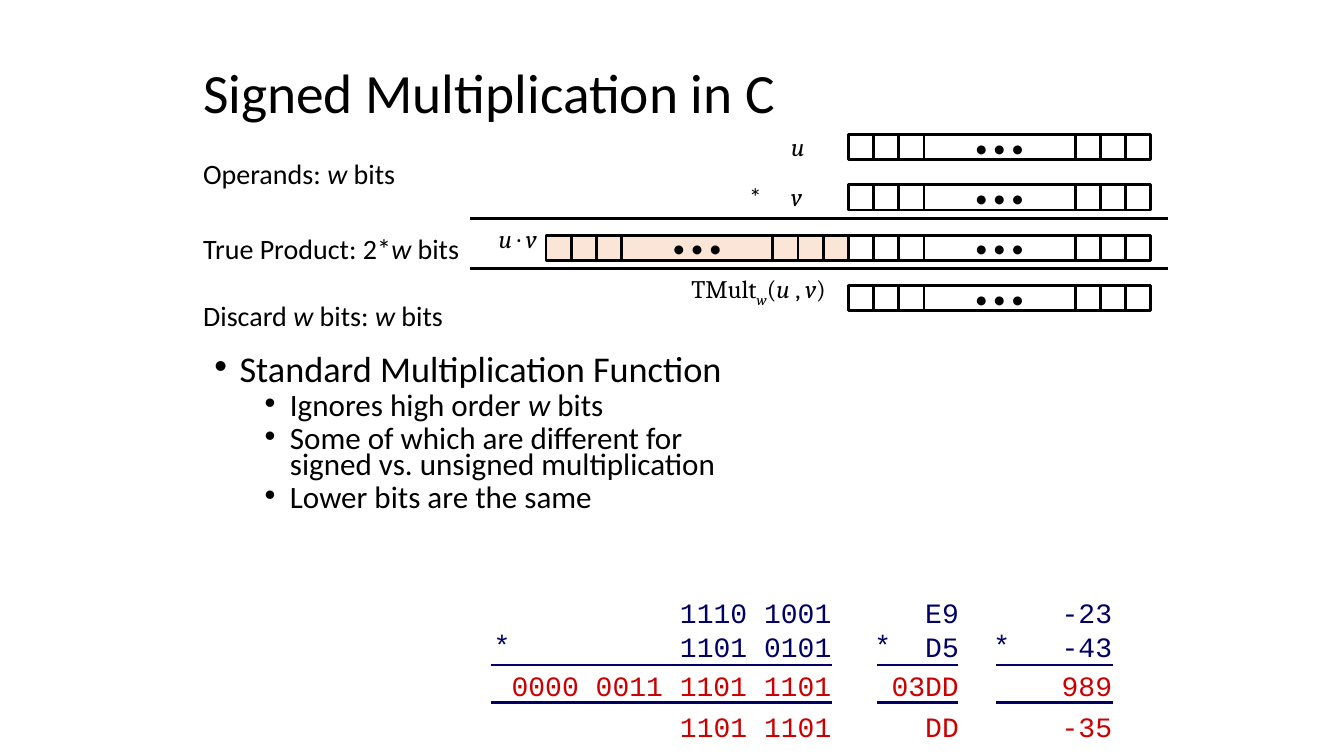
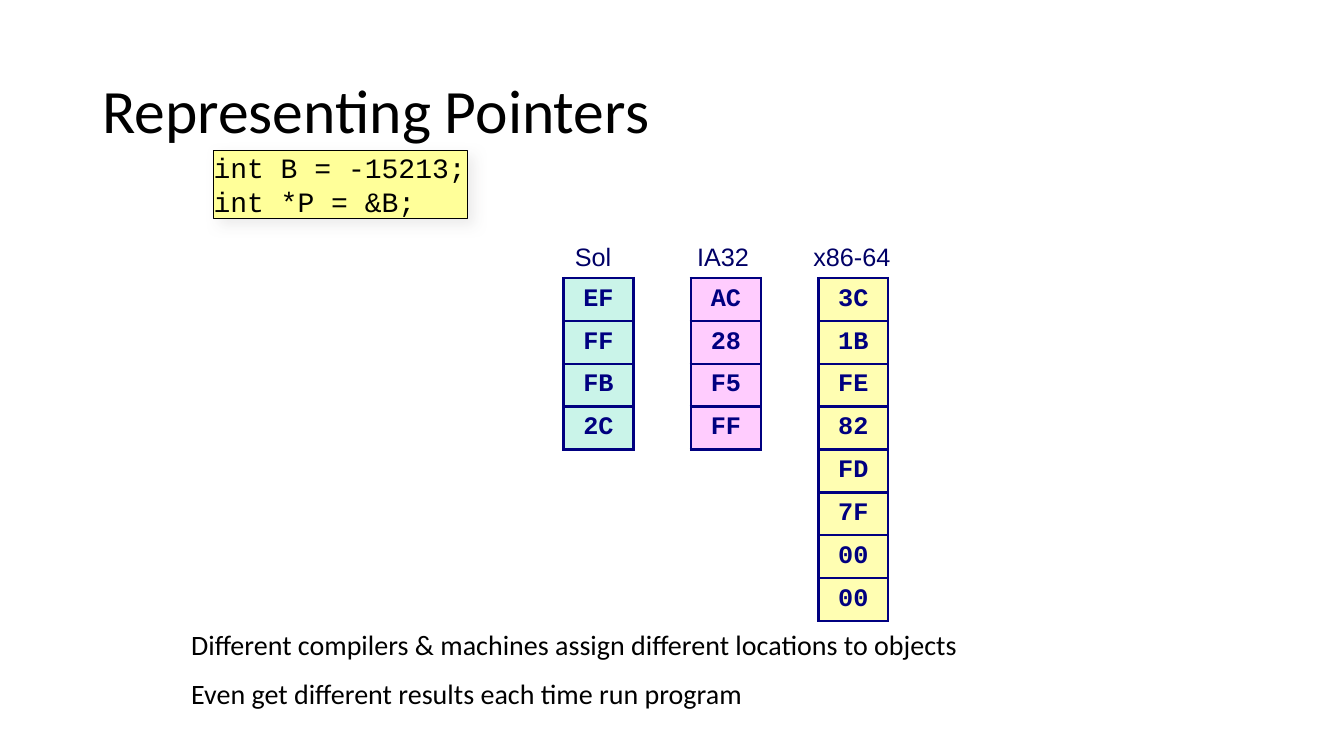
"""Build two slides: signed multiplication in C and pointer bytes."""
from lxml.etree import SubElement as Sub
from pptx import Presentation
from pptx.dml.color import RGBColor
from pptx.enum.shapes import MSO_CONNECTOR as Link, MSO_SHAPE as Form
from pptx.enum.text import MSO_ANCHOR as Anchor, MSO_AUTO_SIZE as Fit, PP_ALIGN as Align
from pptx.oxml.ns import qn
from pptx.util import Pt

hue = RGBColor.from_string
BLACK, WHITE, PEACH = "000000", "FFFFFF", "FBE5D6"
NAVY, BLUE, RED = "000066", "000080", "CC0000"
SANS, SERIF, MONO = "Calibri", "Cambria", "Courier New"
DOTS = "\u2022\u00a0\u2022\u00a0\u2022"
HUG = {"word_wrap": False, "auto_size": Fit.SHAPE_TO_FIT_TEXT}
WRAP = {"word_wrap": True}
MID = {"vertical_anchor": Anchor.MIDDLE}
SLIM = {"margin_left": Pt(4.5), "margin_right": Pt(7.2),
        "margin_top": Pt(4.5), "margin_bottom": Pt(4.5)}
CELL = MID | SLIM | {"margin_right": Pt(4.5)}
FLAT = dict.fromkeys(SLIM, 0)


def write(frame, lines, size, font=SANS, tint=BLACK, align=None, bold=False, form=HUG):
    """Fill a frame; parts between underscores are italic, a caret lowers them."""
    for key, val in form.items():
        setattr(frame, key, val)
    for row, line in enumerate(lines):
        para = frame.paragraphs[0] if row == 0 else frame.add_paragraph()
        para.alignment = align
        for num, part in enumerate(line.split("_")):
            if not part:
                continue
            run = para.add_run()
            run.text = part.lstrip("^")
            look = {"size": Pt(size), "name": font, "bold": bold, "italic": num % 2 == 1}
            for key, val in look.items():
                setattr(run.font, key, val)
            run.font.color.rgb = hue(tint)
            if part[0] == "^":
                run._r.get_or_add_rPr().set("baseline", "-25000")
    return frame.paragraphs


def box(slide, spot, lines, size, **look):
    """Add a text box at a spot in points."""
    frame = slide.shapes.add_textbox(*map(Pt, spot)).text_frame
    return write(frame, lines, size, **look)


deck = Presentation()
deck.slide_width, deck.slide_height = Pt(960), Pt(540)
pages = []
for name, size, spot in [
    ("Signed Multiplication in C", 39.6, (138, 46, 605.5, 44)),
    ("Representing Pointers", 44, (66, 28.75, 828, 104.4)),
]:
    page = deck.slides.add_slide(deck.slide_layouts[6])
    box(page, spot, [name], size, form=WRAP | MID)[0].line_spacing = 0.9
    pages.append(page)
math, bytes_page = pages

points = box(math, (146, 252, 405.5, 129.6), [
    "Standard Multiplication Function",
    "Ignores high order _w_ bits",
    "Some of which are different for signed vs. unsigned multiplication",
    "Lower bits are the same",
], 22.2, form=WRAP)
points[0].runs[0].font.size = Pt(25.9)
for num, para in enumerate(points):
    para.line_spacing, para.space_before = 0.7, Pt(5 if num else 10)
    para.level = 1 if num else 0
    prop = para._p.get_or_add_pPr()
    prop.set("marL", str(Pt(54 if num else 18)))
    prop.set("indent", str(Pt(-18)))
    Sub(prop, qn("a:buFont"), typeface="Arial")
    Sub(prop, qn("a:buChar"), char="\u2022")

UNIT = 18
for left, top, fill in [(606, 96, WHITE), (606, 132, WHITE), (606, 168, WHITE),
                        (606, 204, WHITE), (390, 168, PEACH)]:
    word = math.shapes.add_group_shape().shapes
    for slot in (0, 1, 2, 9, 10, 11, 3):
        wide = 6 if slot == 3 else 1
        bit = word.add_shape(Form.RECTANGLE, Pt(left + slot * UNIT), Pt(top),
                             Pt(wide * UNIT), Pt(UNIT))
        bit.shadow.inherit = False
        bit.fill.solid()
        bit.fill.fore_color.rgb = hue(fill)
        bit.line.color.rgb = hue(BLACK)
        bit.line.width = Pt(2)
        if slot == 3:
            write(bit.text_frame, [DOTS], 18, align=Align.CENTER,
                  form=MID | {"word_wrap": False})

for spot, line, size, font, align in [
    ((558, 90, 24, 29), "_u_", 18, SERIF, None),
    ((558, 126, 22, 29), "_v_", 18, SERIF, None),
    ((528, 126, 24, 29), "*", 18, SANS, None),
    ((343.5, 156, 47, 29), "_u _\u00b7 _v_", 18, SERIF, Align.RIGHT),
    ((486, 192, 111, 29), "TMult_^w_(_u_ , _v_)", 18, SERIF, Align.RIGHT),
    ((138, 108, 153, 31.5), "Operands: _w_ bits", 20, SANS, None),
    ((138, 162, 204, 31.5), "True Product: 2*_w_ bits", 20, SANS, None),
    ((138, 210, 192, 31.5), "Discard _w_ bits: _w_ bits", 20, SANS, None),
]:
    box(math, spot, [line], size, font=font, align=align)

rules = [(336, 834, 156, BLACK), (336, 834, 192, BLACK)]
for left, wide, start, end, sums in [
    (348, 253, 351, 594, ["1110 1001", "1101 0101", "0000 0011 1101 1101", "1101 1101"]),
    (620, 72, 626.5, 684, ["E9", "D5", "03DD", "DD"]),
    (705, 96.5, 711.5, 795, ["-23", "-43", "989", "-35"]),
]:
    for top, lines, tint in [(421, sums[:2], NAVY), (473, sums[2:3], RED),
                             (502, sums[3:], RED)]:
        box(math, (left, top, wide, 9 + 22.7 * len(lines)), lines, 20, font=MONO,
            tint=tint, align=Align.RIGHT, form=WRAP | SLIM)
    box(math, (left, 443.7, 24, 31.7), ["*"], 20, font=MONO, tint=NAVY, form=HUG | SLIM)
    rules += [(start, end, 475, NAVY), (start, end, 502, NAVY)]
for start, end, top, tint in rules:
    rule = math.shapes.add_connector(Link.STRAIGHT, Pt(start), Pt(top), Pt(end), Pt(top))
    rule.line.color.rgb = hue(tint)
    rule.line.width = Pt(2)
    Sub(rule._element.spPr, qn("a:effectLst"))

notes = box(bytes_page, (132, 444, 696, 53.5), [
    "Different compilers & machines assign different locations to objects",
    "Even get different results each time run program",
], 20, form=WRAP | SLIM)
notes[1].space_before = Pt(11)

code = bytes_page.shapes.add_shape(Form.RECTANGLE, Pt(152.5), Pt(107.5), Pt(181.5), Pt(48.5))
code.fill.solid()
code.fill.fore_color.rgb = hue("FFFF99")
code.line.color.rgb = hue(BLACK)
code.line.width = Pt(0.5)
code.shadow.inherit = False
cast = Sub(code._element.spPr.find(qn("a:effectLst")), qn("a:outerShdw"),
           blurRad=str(Pt(10)), dist=str(Pt(6)), dir="2700000", algn="tl", rotWithShape="0")
shade = Sub(cast, qn("a:srgbClr"), val="E7E6E6")
Sub(shade, qn("a:alpha"), val="75000")
write(code.text_frame, ["int B = -15213;", "int *P = &B;"], 20, font=MONO,
      align=Align.LEFT, form=HUG | FLAT)

WIDE, HIGH = 50, 30
for num, (name, start, span, fill, data) in enumerate([
    ("Sol", 403, 44, "CAF4E9", "EF FF FB 2C"),
    ("IA32", 492.5, 50.5, "FFCCFE", "AC 28 F5 FF"),
    ("x86-64", 575.5, 68.5, "FFFEB2", "3C 1B FE 82 FD 7F 00 00"),
]):
    box(bytes_page, (start, 168, span, 30), [name], 18, font="Arial", tint=NAVY,
        align=Align.CENTER, form=HUG | SLIM)
    items = data.split()
    grid = bytes_page.shapes.add_table(len(items), 1, Pt(402.5 + 91 * num), Pt(198.7),
                                       Pt(WIDE), Pt(HIGH * len(items))).table
    grid.first_row = grid.horz_banding = False
    grid.columns[0].width = Pt(WIDE)
    for row, item in enumerate(items):
        grid.rows[row].height = Pt(HIGH)
        cell = grid.cell(row, 0)
        for key, val in CELL.items():
            setattr(cell, key, val)
        write(cell.text_frame, [item], 18, font=MONO, tint=BLUE, align=Align.CENTER,
              bold=True, form={})
        prop = cell._tc.get_or_add_tcPr()
        for side in "LRTB":
            edge = Sub(prop, qn("a:ln" + side), w=str(Pt(2)))
            Sub(Sub(edge, qn("a:solidFill")), qn("a:srgbClr"), val=BLUE)
        cell.fill.solid()
        cell.fill.fore_color.rgb = hue(fill)

deck.save("out.pptx")
